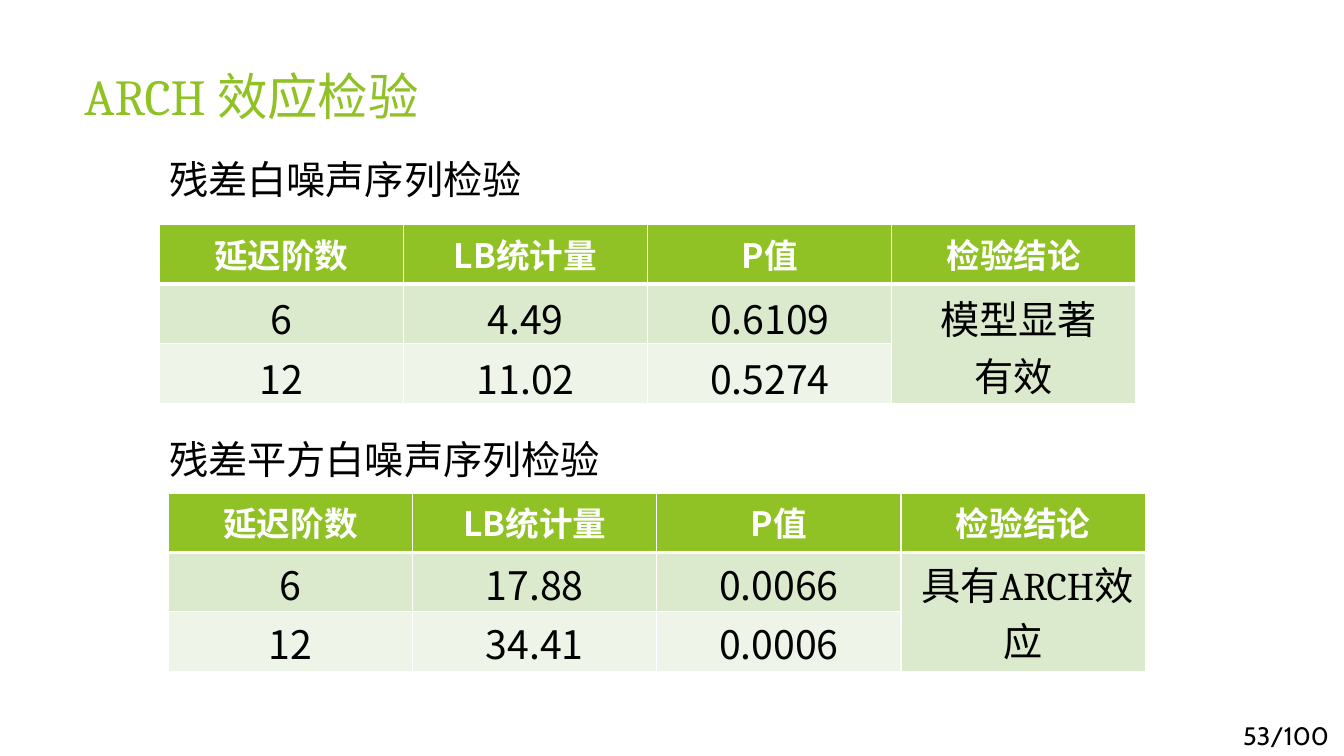
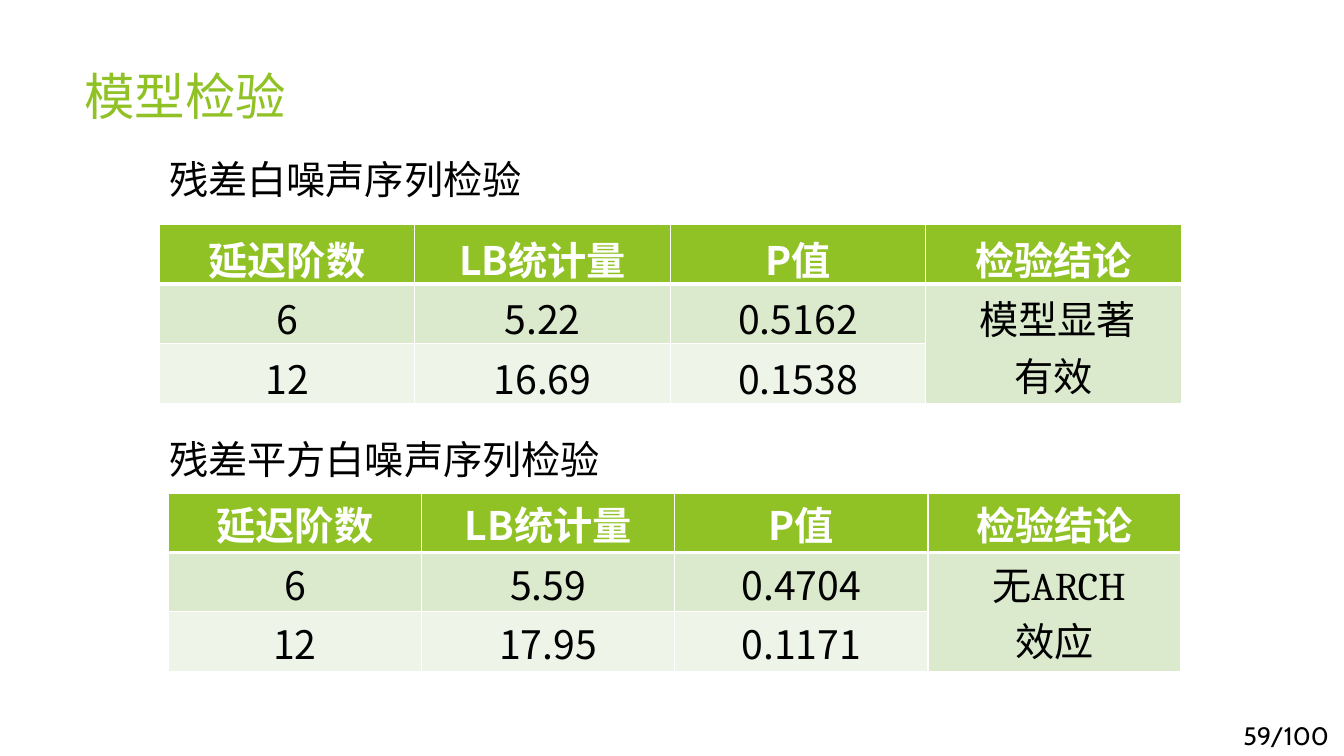
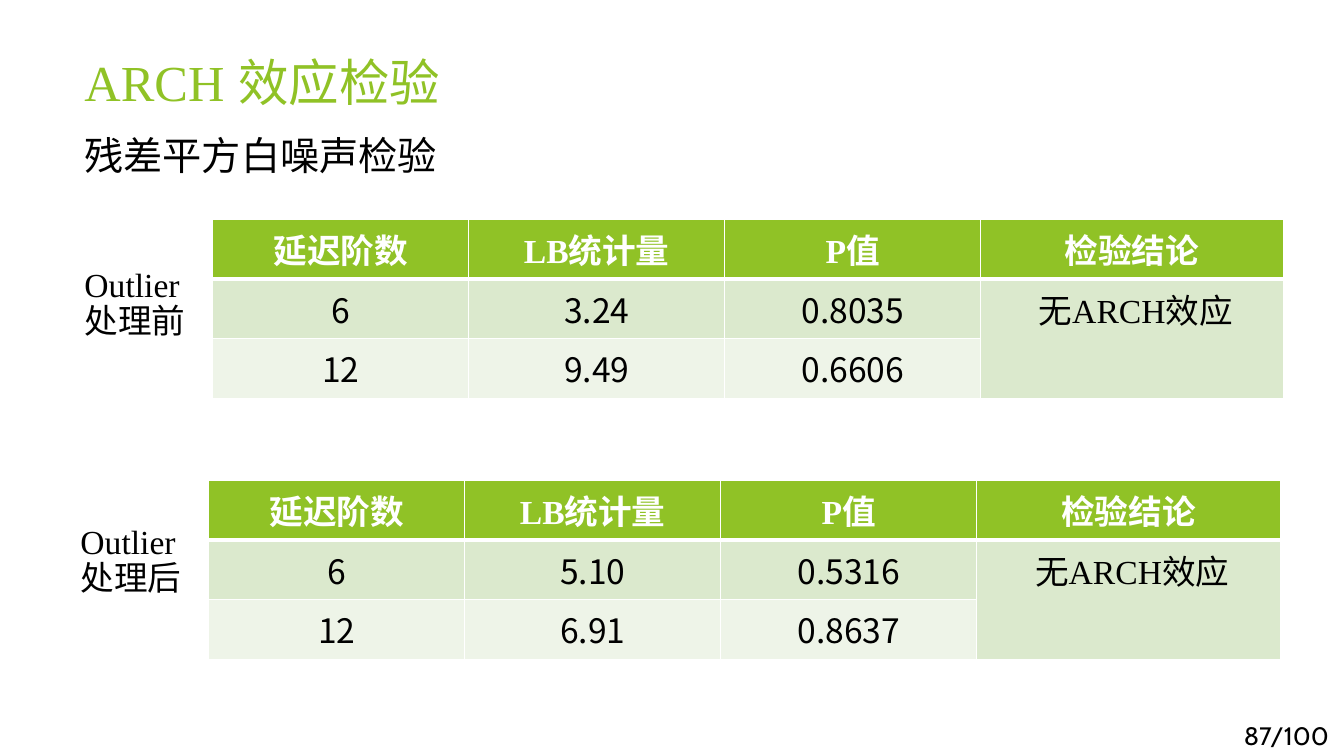
import itertools

import lxml.etree
import pptx
import pptx.dml.color
import pptx.enum.text
import pptx.oxml.ns
import pptx.util

GREEN = pptx.dml.color.RGBColor(0x90, 0xC2, 0x26)
PALE_GREEN = pptx.dml.color.RGBColor(0xDB, 0xE9, 0xCD)
PALEST_GREEN = pptx.dml.color.RGBColor(0xEE, 0xF4, 0xE8)
WHITE = pptx.dml.color.RGBColor(0xFF, 0xFF, 0xFF)
BLACK = pptx.dml.color.RGBColor(0x00, 0x00, 0x00)
BAND_FILLS = [GREEN, PALE_GREEN, PALEST_GREEN]

LEFT = pptx.enum.text.PP_ALIGN.LEFT
CENTER = pptx.enum.text.PP_ALIGN.CENTER
RIGHT = pptx.enum.text.PP_ALIGN.RIGHT
qn = pptx.oxml.ns.qn

deck = pptx.Presentation()
deck.slide_width = pptx.util.Inches(13.33)
deck.slide_height = pptx.util.Inches(7.5)
COLUMN = deck.slide_width / 100
ROW = deck.slide_height / 100
BAND_ROWS = 7.87
HEADINGS = ["延迟阶数", "LB统计量", "P值", "检验结论"]
LAGS = ["6", "12"]
SANS = "Noto Sans CJK SC"
SANS_JP = "Noto Sans CJK JP"
TIMES = "Times New Roman"


def write(frame, text, size, fonts, color=BLACK, bold=False, align=LEFT, spacing=1.0):
    latin_font, cjk_font = fonts
    for index, line in enumerate(text.split("\n")):
        paragraph = frame.add_paragraph() if index else frame.paragraphs[0]
        paragraph.alignment = align
        paragraph.line_spacing = spacing
        for is_latin, letters in itertools.groupby(line, lambda c: c.isascii() and c.isalpha()):
            run = paragraph.add_run()
            run.text = "".join(letters)
            run.font.size = pptx.util.Pt(size)
            run.font.bold = bold
            run.font.color.rgb = color
            run.font.name = latin_font if is_latin else cjk_font
            east_asian = lxml.etree.SubElement(run.font._element, qn("a:ea"))
            east_asian.set("typeface", run.font.name)


def add_text(slide, place, text, size, fonts, **style):
    left, top, width, height = place
    box = slide.shapes.add_textbox(
        int(left * COLUMN), int(top * ROW), int(width * COLUMN), int(height * ROW))
    box.text_frame.word_wrap = True
    write(box.text_frame, text, size, fonts, **style)
    return box.text_frame


UPPER_CAPTION = ((11.85, 20.53, 30.3, 7.6), "残差白噪声序列检验", 28)
LOWER_CAPTION = ((11.85, 57.6, 34.88, 7.6), "残差平方白噪声序列检验", 28)
MIXED = ("Cambria", SANS)
PLAIN = (SANS, SANS)
ROMAN = (TIMES, SANS_JP)

pages = [
    dict(
        number=53, title="ARCH 效应检验", title_top=8.93, title_fonts=MIXED,
        body_fonts=MIXED, heading_fonts=PLAIN, heading_size=24, body_size=28,
        captions=[UPPER_CAPTION, LOWER_CAPTION],
        tests=[
            (11.85, 29.73, [18.17] * 4, False,
             ["4.49", "11.02"], ["0.6109", "0.5274"], " 模型显著\n有效"),
            (12.53, 65.2, [18.17] * 4, True,
             ["17.88", "34.41"], ["0.0066", "0.0006"], " 具有ARCH效应"),
        ]),
    dict(
        number=59, title="模型检验", title_top=8.93, title_fonts=MIXED,
        body_fonts=MIXED, heading_fonts=PLAIN, heading_size=28, body_size=28,
        captions=[UPPER_CAPTION, LOWER_CAPTION],
        tests=[
            (11.85, 29.73, [19.01] * 4, False,
             ["5.22", "16.69"], ["0.5162", "0.1538"], " 模型显著\n有效"),
            (12.53, 65.2, [18.84] * 4, True,
             ["5.59", "17.95"], ["0.4704", "0.1171"], " 无ARCH\n效应"),
        ]),
    dict(
        number=87, title="ARCH 效应检验", title_top=7.07, title_fonts=(TIMES, "Arial"),
        body_fonts=ROMAN, heading_fonts=ROMAN, heading_size=24, body_size=24,
        captions=[
            ((5.55, 17.47, 43, 7.6), "残差平方白噪声检验", 28),
            ((5.55, 34.8, 10.58, 12.13), "Outlier\n处理前", 24),
            ((5.25, 68.8, 10.58, 12.13), "Outlier\n处理后", 24),
        ],
        tests=[
            (15.83, 29.07, [19.05] * 3 + [22.5], False,
             ["3.24", "9.49"], ["0.8035", "0.6606"], " 无ARCH效应"),
            (15.53, 63.6, [19.05] * 3 + [22.58], False,
             ["5.10", "6.91"], ["0.5316", "0.8637"], " 无ARCH效应"),
        ]),
]

for page in pages:
    slide = deck.slides.add_slide(deck.slide_layouts[6])
    add_text(slide, (5.55, page["title_top"], 70.5, 19.2), page["title"], 36,
             page["title_fonts"], color=GREEN, spacing=0.9)
    for place, caption, size in page["captions"]:
        add_text(slide, place, caption, size, page["body_fonts"], spacing=0.9)

    for left, top, widths, snug, statistics, p_values, conclusion in page["tests"]:
        table = slide.shapes.add_table(
            3, 4, int(left * COLUMN), int(top * ROW),
            int(sum(widths) * COLUMN), int(3 * BAND_ROWS * ROW)).table
        for column, width in zip(table.columns, widths):
            column.width = int(width * COLUMN)
        for band in table.rows:
            band.height = int(BAND_ROWS * ROW)
        table.cell(1, 3).merge(table.cell(2, 3))
        contents = [HEADINGS] + list(zip(LAGS, statistics, p_values, [conclusion, ""]))

        for row, texts in enumerate(contents):
            size = page["body_size"] if row else page["heading_size"]
            for column, text in enumerate(texts):
                cell = table.cell(row, column)
                if snug:
                    spare = int(BAND_ROWS * ROW) - pptx.util.Pt(size * 1.46)
                    cell.margin_top = min(pptx.util.Inches(0.05), spare)
                    cell.margin_bottom = 0
                properties = cell._tc.get_or_add_tcPr()
                for side in "LRTB":
                    thick = (row, side) in [(0, "B"), (1, "T")]
                    border = lxml.etree.SubElement(properties, qn("a:ln" + side))
                    border.set("w", str(pptx.util.Pt(3 if thick else 1)))
                    paint = lxml.etree.SubElement(border, qn("a:solidFill"))
                    lxml.etree.SubElement(paint, qn("a:srgbClr")).set("val", str(WHITE))
                cell.fill.solid()
                cell.fill.fore_color.rgb = BAND_FILLS[row]
                if row:
                    write(cell.text_frame, text, size, page["body_fonts"], align=CENTER)
                else:
                    write(cell.text_frame, text, size, page["heading_fonts"],
                          color=WHITE, bold=True, align=CENTER)

    footer = add_text(slide, (87.53, 94.67, 12.08, 5.33), f"{page['number']}/100", 18,
                      ("Cabin", "Cabin"), align=RIGHT)
    footer.vertical_anchor = pptx.enum.text.MSO_ANCHOR.MIDDLE

deck.save("out.pptx")
